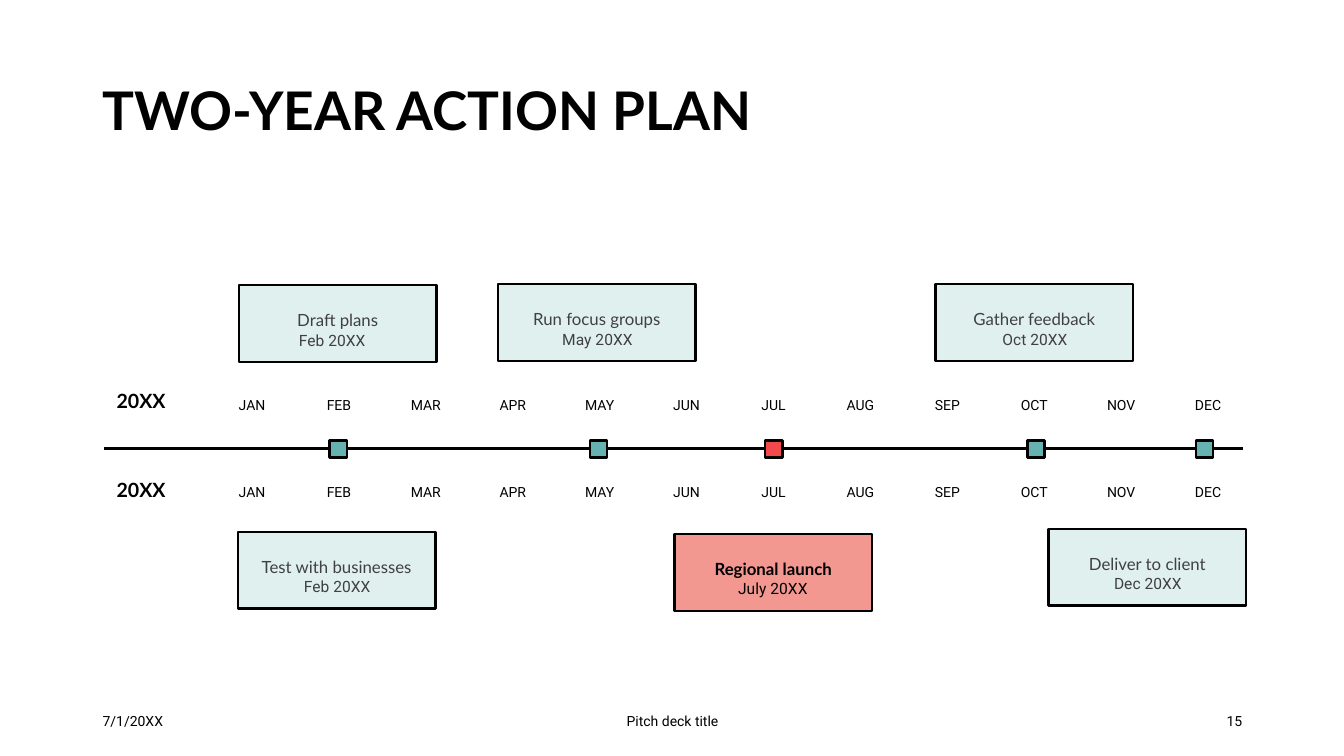
"""Build the two-year action plan timeline slide."""
from pptx import Presentation
from pptx.dml.color import RGBColor
from pptx.enum.shapes import MSO_CONNECTOR, MSO_SHAPE
from pptx.enum.text import MSO_ANCHOR, PP_ALIGN
from pptx.oxml.ns import qn
from pptx.util import Inches, Pt
from lxml import etree

LEFT, CENTER, RIGHT = PP_ALIGN.LEFT, PP_ALIGN.CENTER, PP_ALIGN.RIGHT
TOP, MIDDLE = MSO_ANCHOR.TOP, MSO_ANCHOR.MIDDLE
RECTANGLE = MSO_SHAPE.RECTANGLE
STRAIGHT = MSO_CONNECTOR.STRAIGHT

BLACK = RGBColor(0x00, 0x00, 0x00)
GRAY = RGBColor(0x40, 0x40, 0x40)
PALE_TEAL = RGBColor(0xE0, 0xF0, 0xEF)
TEAL = RGBColor(0x66, 0xB2, 0xB0)
PALE_RED = RGBColor(0xF3, 0x98, 0x91)
RED = RGBColor(0xF2, 0x49, 0x4C)
HEADING_FONT, BODY_FONT = "Lato", "Roboto"

TITLE = "TWO-YEAR ACTION PLAN"
MONTHS = ["JAN", "FEB", "MAR", "APR", "MAY", "JUN",
          "JUL", "AUG", "SEP", "OCT", "NOV", "DEC"]
YEARS = [("20XX", 3.74, 3.9), ("20XX", 4.62, 4.77)]
MILESTONES = [
    ("Draft plans", "Feb 20XX", 2.37, 2.83, 0, False),
    ("Run focus groups", "May 20XX", 4.94, 2.82, 0.06, False),
    ("Gather feedback", "Oct 20XX", 9.28, 2.82, 0.06, False),
    ("Test with businesses", "Feb 20XX", 2.36, 5.28, 0.06, False),
    ("Regional launch", "July 20XX", 6.69, 5.3, 0.05, True),
    ("Deliver to client", "Dec 20XX", 10.4, 5.25, 0.06, False),
]
MARKERS = [(3.27, TEAL), (5.85, TEAL), (7.59, RED), (10.19, TEAL), (11.86, TEAL)]
FOOTER = [
    ("7/1/20XX", 0.92, 3, LEFT),
    ("Pitch deck title", 4.42, 4.5, CENTER),
    ("15", 9.42, 3, RIGHT),
]

MONTH_LEFT, MONTH_STEP = 2.15, 0.862
CARD_WIDTH, CARD_HEIGHT = 1.96, 0.76
DATE_DROP = 0.45
MARKER_TOP, MARKER_SIZE = 4.37, 0.17
AXIS_LEFT, AXIS_RIGHT, AXIS_TOP = 1.03, 12.33, 4.45


def write(shape, text, size, font=BODY_FONT, color=BLACK, bold=False,
          align=CENTER, anchor=TOP, spacing=0.9):
    frame = shape.text_frame
    frame.word_wrap = True
    frame.vertical_anchor = anchor
    frame.text = text
    paragraph = frame.paragraphs[0]
    paragraph.alignment = align
    paragraph.line_spacing = spacing
    style = paragraph.runs[0].font
    style.name, style.size, style.bold = font, Pt(size), bold
    style.color.rgb = color


def add_label(slide, text, left, top, width, height, size, **style):
    box = slide.shapes.add_textbox(
        Inches(left), Inches(top), Inches(width), Inches(height))
    write(box, text, size, **style)


def add_box(slide, left, top, width, height, fill):
    box = slide.shapes.add_shape(
        RECTANGLE, Inches(left), Inches(top), Inches(width), Inches(height))
    box.shadow.inherit = False
    box.fill.solid()
    box.fill.fore_color.rgb = fill
    box.line.color.rgb = BLACK
    box.line.width = Pt(1.75)
    return box


def add_axis(slide):
    axis = slide.shapes.add_connector(
        STRAIGHT, Inches(AXIS_LEFT), Inches(AXIS_TOP),
        Inches(AXIS_RIGHT), Inches(AXIS_TOP))
    axis.line.color.rgb = BLACK
    axis.line.width = Pt(2)
    etree.SubElement(axis.element.spPr, qn("a:effectLst"))


def add_milestone(slide, name, date, left, top, date_shift, highlight):
    color = BLACK if highlight else GRAY
    card = add_box(slide, left, top, CARD_WIDTH, CARD_HEIGHT,
                   PALE_RED if highlight else PALE_TEAL)
    card.text_frame.margin_top = Inches(0.04)
    write(card, name, 12, font=HEADING_FONT, color=color, bold=highlight, spacing=2.0)
    add_label(slide, date, left + date_shift, top + DATE_DROP, 1.85, 0.25, 11.1,
              color=color, spacing=0.7)


def main():
    presentation = Presentation()
    presentation.slide_width = Inches(13.33)
    presentation.slide_height = Inches(7.5)
    slide = presentation.slides.add_slide(presentation.slide_layouts[6])

    add_axis(slide)
    add_label(slide, TITLE, 0.92, 0.4, 11.5, 1.45, 38, font=HEADING_FONT,
              bold=True, align=LEFT, anchor=MIDDLE)
    for milestone in MILESTONES:
        add_milestone(slide, *milestone)
    for year, year_top, month_top in YEARS:
        add_label(slide, year, 1, year_top, 0.8, 0.5, 14, font=HEADING_FONT,
                  bold=True, anchor=MIDDLE)
        for index, month in enumerate(MONTHS):
            add_label(slide, month, MONTH_LEFT + index * MONTH_STEP, month_top,
                      0.7, 0.3, 10)
    for left, fill in MARKERS:
        add_box(slide, left, MARKER_TOP, MARKER_SIZE, MARKER_SIZE, fill)
    for text, left, width, align in FOOTER:
        add_label(slide, text, left, 6.95, width, 0.4, 10, align=align,
                  anchor=MIDDLE, spacing=1.0)

    presentation.save("out.pptx")


if __name__ == "__main__":
    main()
